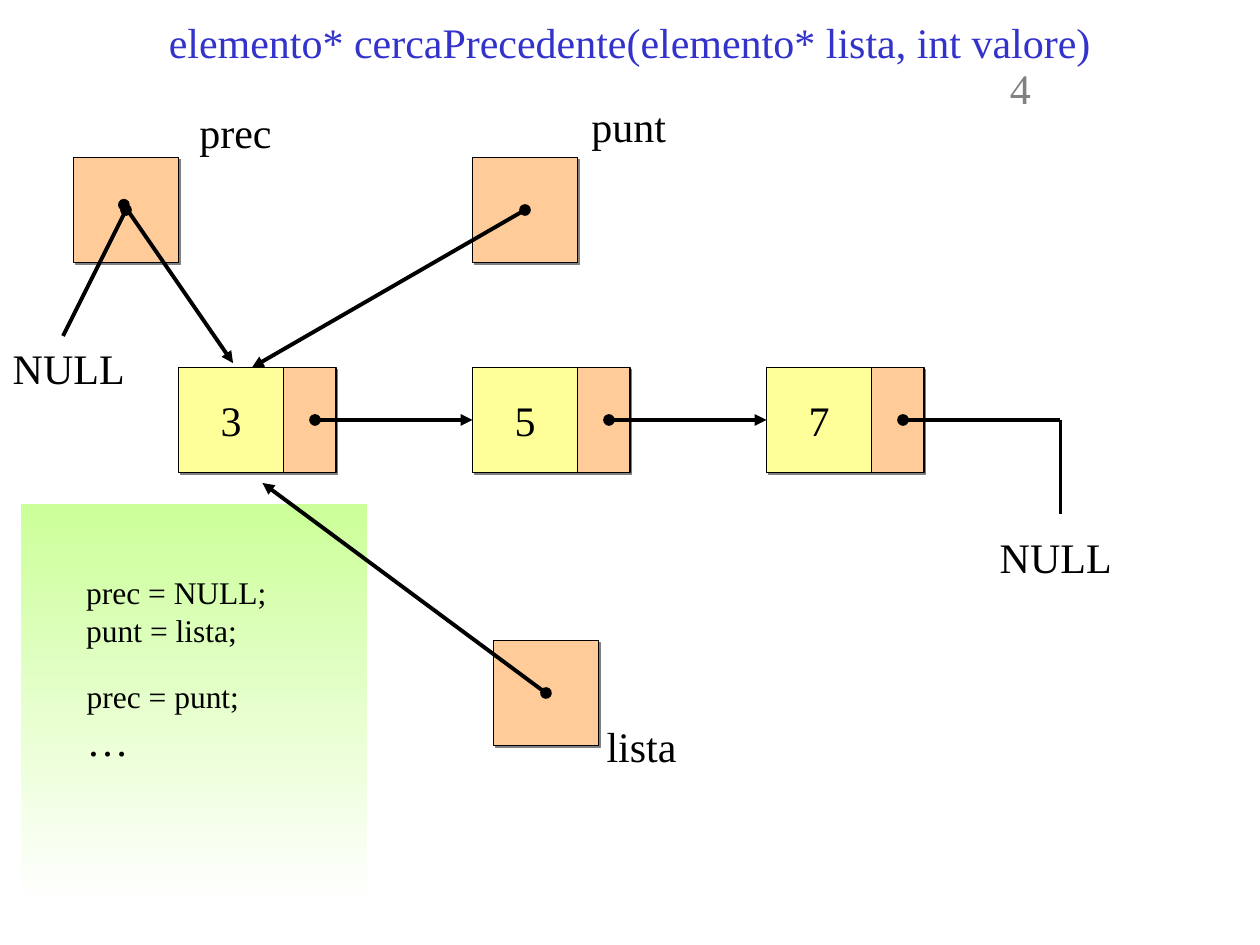
from typing import NamedTuple

from lxml import etree
from pptx import Presentation
from pptx.dml.color import RGBColor
from pptx.enum import shapes, text
from pptx.oxml import ns
from pptx.util import Pt

BLACK = RGBColor(0x00, 0x00, 0x00)
GREY = RGBColor(0x80, 0x80, 0x80)
BLUE = RGBColor(0x33, 0x33, 0xCC)
YELLOW = RGBColor(0xFF, 0xFF, 0x99)
ORANGE = RGBColor(0xFF, 0xCC, 0x99)
GREEN = RGBColor(0xCC, 0xFF, 0x99)
WHITE = RGBColor(0xFF, 0xFF, 0xFF)

FONT = "Times New Roman"
CELL = 60
NODE_LEFT, NODE_TOP, NODE_PITCH = 102, 210, 168
LINK_Y = NODE_TOP + CELL / 2
LINK_LENGTH = 90


class Line(NamedTuple):
    text: str
    size: float = 24


class Label(NamedTuple):
    left: float
    top: float
    width: float
    height: float
    lines: list[Line]
    color: RGBColor = BLACK
    align: text.PP_ALIGN = text.PP_ALIGN.LEFT
    wrap: bool = False
    space_before: float = 0
    grow: bool = True


class Arrow(NamedTuple):
    x1: float
    y1: float
    x2: float
    y2: float
    dot: bool = True
    point: bool = True


POINTER_CELLS = [(42, 90), (270, 90), (282, 366)]

ARROWS = [
    Arrow(606, LINK_Y, 606, 294, dot=False, point=False),
    Arrow(72, 120, 36, 192, point=False),
    Arrow(312, 396, 150, 276),
    Arrow(300, 120, 144, 210),
    Arrow(70.8, 117, 133.2, 207.5),
]

LABELS = [
    Label(54, 0, 612, 48, [Line("elemento* cercaPrecedente(elemento* lista, int valore)")],
          BLUE, text.PP_ALIGN.CENTER, True, grow=False),
    Label(553, 32, 60, 36, [Line("4")], GREY, text.PP_ALIGN.CENTER, True, 15),
    Label(106.8, 57.5, 57, 36, [Line("prec")]),
    Label(330.8, 54, 58, 36, [Line("punt")]),
    Label(339.5, 408, 57, 36, [Line("lista")]),
    Label(0.2, 192, 80, 36, [Line("NULL")]),
    Label(564.2, 300, 80, 36, [Line("NULL")]),
    Label(42.2, 324, 119, 50.5, [Line("prec = NULL;", 18), Line("punt = lista;", 18)]),
    Label(42.5, 383.3, 103, 57.5, [Line("prec = punt;", 18), Line("…")]),
]


def add_run(p, line: Line, color: RGBColor) -> None:
    r = p.add_run()
    r.text = line.text
    r.font.name = FONT
    r.font.size = Pt(line.size)
    r.font.color.rgb = color


def add_effects(sp):
    return etree.SubElement(sp._element.spPr, ns.qn("a:effectLst"))


def add_code_panel(s) -> None:
    sp = s.shapes.add_shape(shapes.MSO_SHAPE.RECTANGLE, Pt(12), Pt(288), Pt(198), Pt(228))
    sp.shadow.inherit = False
    sp.line.fill.background()
    sp.fill.gradient()
    sp.fill.gradient_angle = 270
    for stop, color, position in zip(sp.fill.gradient_stops, (GREEN, WHITE), (0, 1)):
        stop.color.rgb = color
        stop.position = position


def add_cell(s, left: float, top: float, width: float, color: RGBColor, value: str = "") -> None:
    """Draw a memory cell with a hard grey shadow and an optional value."""
    sp = s.shapes.add_shape(shapes.MSO_SHAPE.RECTANGLE, Pt(left), Pt(top), Pt(width), Pt(CELL))
    sp.fill.solid()
    sp.fill.fore_color.rgb = color
    sp.line.color.rgb = BLACK
    sp.line.width = Pt(0.75)
    shadow = etree.SubElement(add_effects(sp), ns.qn("a:outerShdw"), dist=str(Pt(1.4)),
                              dir="2700000", algn="ctr", rotWithShape="0")
    etree.SubElement(shadow, ns.qn("a:srgbClr"), val=str(GREY))
    if value:
        tf = sp.text_frame
        tf.word_wrap = False
        tf.vertical_anchor = text.MSO_ANCHOR.MIDDLE
        p = tf.paragraphs[0]
        p.alignment = text.PP_ALIGN.CENTER
        add_run(p, Line(value), BLACK)


def add_arrow(s, a: Arrow) -> None:
    c = s.shapes.add_connector(shapes.MSO_CONNECTOR.STRAIGHT,
                               Pt(a.x1), Pt(a.y1), Pt(a.x2), Pt(a.y2))
    c.line.color.rgb = BLACK
    c.line.width = Pt(2.25)
    ln = c.line._get_or_add_ln()
    if a.dot:
        etree.SubElement(ln, ns.qn("a:headEnd"), type="oval")
    if a.point:
        etree.SubElement(ln, ns.qn("a:tailEnd"), type="triangle")
    add_effects(c)


def add_label(s, label: Label) -> None:
    sp = s.shapes.add_textbox(Pt(label.left), Pt(label.top), Pt(label.width), Pt(label.height))
    tf = sp.text_frame
    tf.word_wrap = label.wrap
    if label.grow:
        tf.auto_size = text.MSO_AUTO_SIZE.SHAPE_TO_FIT_TEXT
    else:
        tf.vertical_anchor = text.MSO_ANCHOR.MIDDLE
    for i, line in enumerate(label.lines):
        p = tf.add_paragraph() if i else tf.paragraphs[0]
        p.alignment = label.align
        p.space_before = Pt(label.space_before)
        add_run(p, line, label.color)


def add_list(s, values: list[str]) -> None:
    """Draw the linked nodes; the last link has no arrowhead."""
    for i, value in enumerate(values):
        left = NODE_LEFT + i * NODE_PITCH
        add_cell(s, left, NODE_TOP, CELL, YELLOW, value)
        add_cell(s, left + CELL, NODE_TOP, CELL / 2, ORANGE)
        start = left + CELL * 1.3
        add_arrow(s, Arrow(start, LINK_Y, start + LINK_LENGTH, LINK_Y,
                           point=i < len(values) - 1))


def main() -> None:
    prs = Presentation()
    prs.slide_width, prs.slide_height = Pt(720), Pt(540)
    s = prs.slides.add_slide(prs.slide_layouts[6])
    add_code_panel(s)
    add_list(s, ["3", "5", "7"])
    for left, top in POINTER_CELLS:
        add_cell(s, left, top, CELL, ORANGE)
    for label in LABELS:
        add_label(s, label)
    for arrow in ARROWS:
        add_arrow(s, arrow)
    prs.save("out.pptx")


if __name__ == "__main__":
    main()
